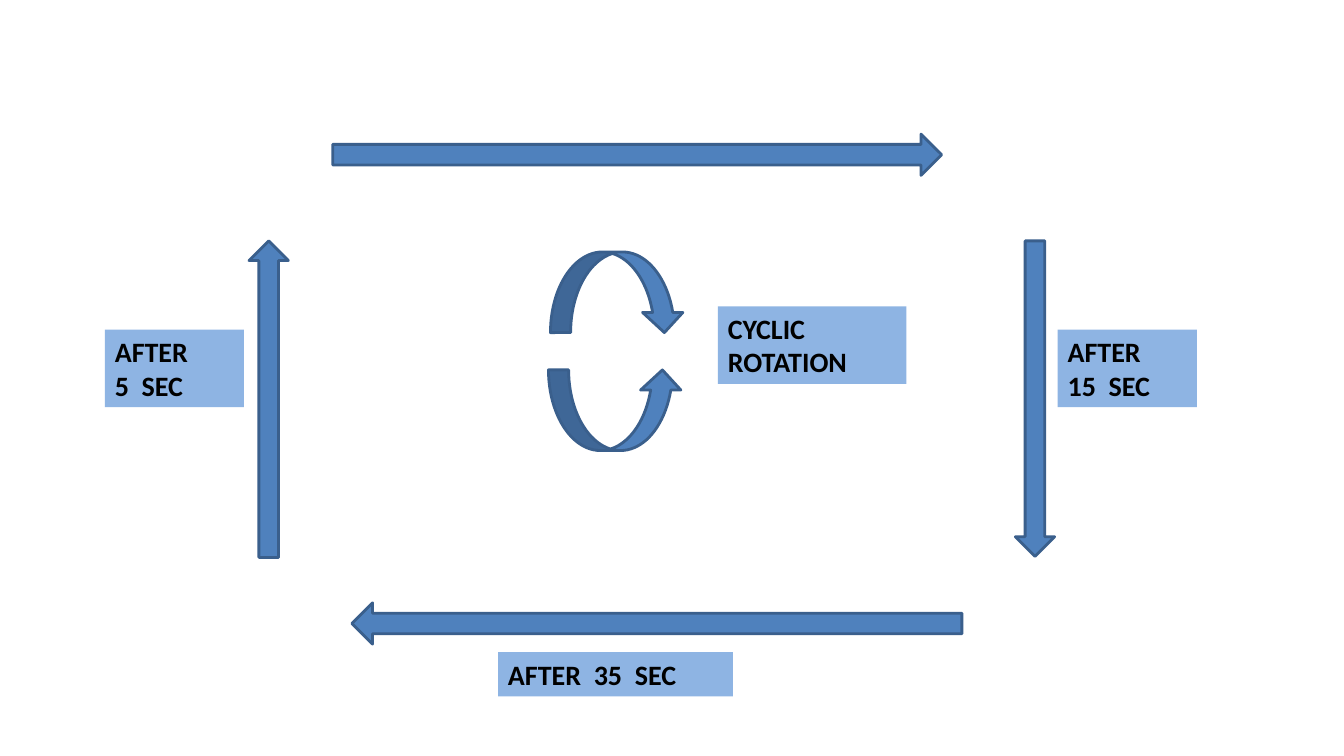
from dataclasses import dataclass

import pptx
import pptx.dml.color
import pptx.enum.shapes
import pptx.enum.text
import pptx.util

Inches = pptx.util.Inches
Pt = pptx.util.Pt
RGBColor = pptx.dml.color.RGBColor
Kind = pptx.enum.shapes.MSO_SHAPE

BLUE = RGBColor(0x4F, 0x81, 0xBD)
EDGE = RGBColor(0x3A, 0x5F, 0x8C)
PALE = RGBColor(0x8E, 0xB4, 0xE3)
BLACK = RGBColor(0, 0, 0)


@dataclass(frozen=True)
class Arrow:
    kind: Kind
    left: float
    top: float
    width: float
    height: float
    turn: int = 0


@dataclass(frozen=True)
class Label:
    text: str
    left: float
    top: float
    width: float
    height: float = 0.77


ARROWS = [
    Arrow(Kind.RIGHT_ARROW, 3.3, 1.33, 6.04, 0.41),
    Arrow(Kind.DOWN_ARROW, 10.07, 2.39, 0.39, 3.13),
    Arrow(Kind.RIGHT_ARROW, 3.49, 5.98, 6.05, 0.41, turn=180),
    Arrow(Kind.DOWN_ARROW, 2.47, 2.39, 0.39, 3.14, turn=180),
    Arrow(Kind.CURVED_DOWN_ARROW, 5.46, 2.5, 1.33, 0.8),
    Arrow(Kind.CURVED_UP_ARROW, 5.44, 3.67, 1.33, 0.8),
]

# "\n" starts a paragraph, "\v" breaks a line within one
LABELS = [
    Label("AFTER  35  SEC", 4.94, 6.47, 2.33, 0.44),
    Label("AFTER\n15  SEC", 10.49, 3.27, 1.38),
    Label("AFTER\n5  SEC", 1.04, 3.27, 1.38),
    Label("CYCLIC\vROTATION", 7.12, 3.04, 1.87),
]


def place(item: Arrow | Label) -> tuple[int, int, int, int]:
    """Give the left, top, width and height of an item as lengths."""
    return (Inches(item.left), Inches(item.top),
            Inches(item.width), Inches(item.height))


def write(frame, text: str, *, size: float = 20, bold: bool = True,
          color: RGBColor = BLACK, font: str = "Calibri") -> None:
    frame.word_wrap = True
    frame.auto_size = pptx.enum.text.MSO_AUTO_SIZE.SHAPE_TO_FIT_TEXT
    frame.text = text
    for line in frame.paragraphs:
        for run in line.runs:
            run.font.name = font
            run.font.size = Pt(size)
            run.font.bold = bold
            run.font.color.rgb = color


def draw_arrow(slide, arrow: Arrow) -> None:
    shape = slide.shapes.add_shape(arrow.kind, *place(arrow))
    shape.rotation = arrow.turn
    shape.shadow.inherit = False
    shape.fill.solid()
    shape.fill.fore_color.rgb = BLUE
    shape.line.color.rgb = EDGE
    shape.line.width = Pt(2)


def draw_label(slide, label: Label) -> None:
    box = slide.shapes.add_textbox(*place(label))
    box.fill.solid()
    box.fill.fore_color.rgb = PALE
    write(box.text_frame, label.text)


def main() -> None:
    deck = pptx.Presentation()
    deck.slide_width = Inches(13.33)
    deck.slide_height = Inches(7.5)
    slide = deck.slides.add_slide(deck.slide_layouts[6])
    for arrow in ARROWS:
        draw_arrow(slide, arrow)
    for label in LABELS:
        draw_label(slide, label)
    deck.save("out.pptx")


if __name__ == "__main__":
    main()
